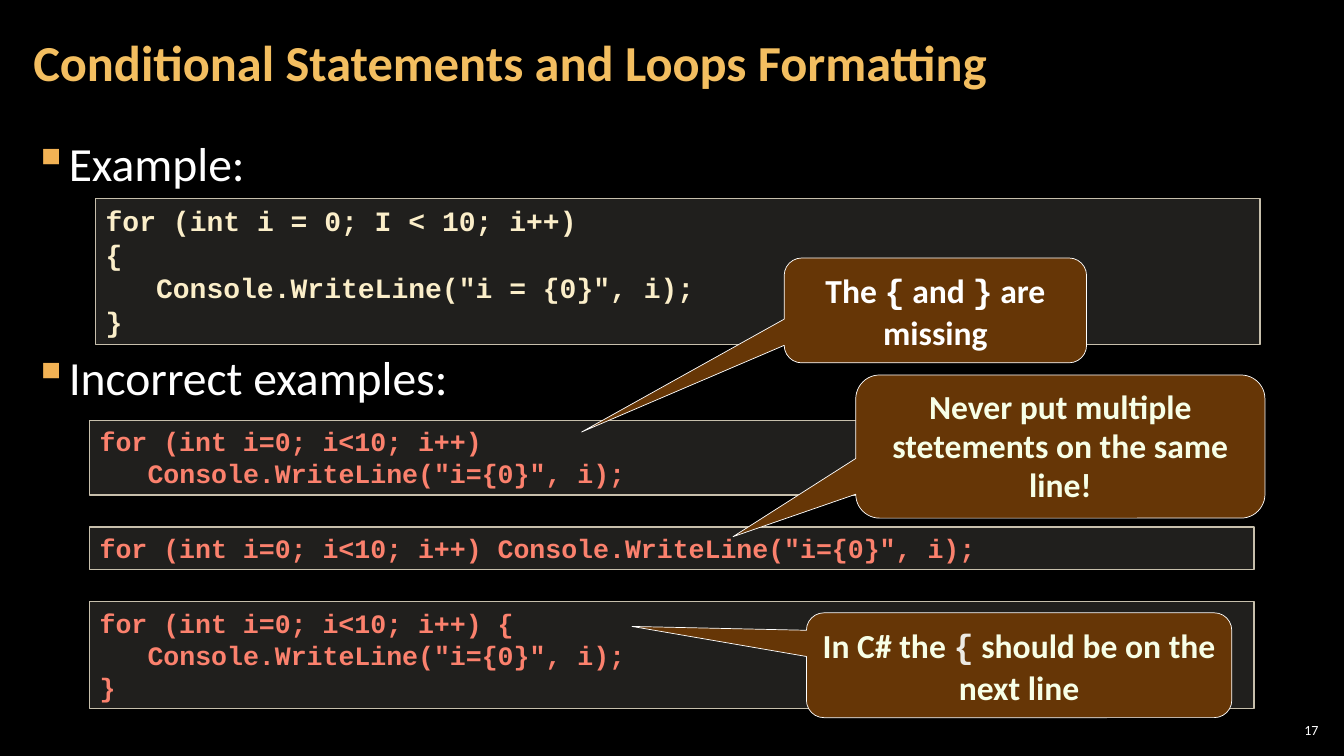
from dataclasses import dataclass

from lxml import etree
from pptx import Presentation
from pptx import util as u
from pptx.dml.color import RGBColor
from pptx.enum import shapes, text
from pptx.oxml import ns

COLS, ROWS = 160, 90
CELL = u.Inches(13.33333) // COLS


@dataclass(frozen=True)
class Theme:
    """Colours, fonts and type sizes."""

    back: str = "000000"
    title: str = "F3BE60"
    body: str = "FFFFFF"
    bullet: str = "F2B254"
    good: str = "FBEEC9"
    bad: str = "FB816D"
    panel: str = "D9D5C7"
    panel_line: str = "C7BFAC"
    callout: str = "663606"
    note: str = "F7FFE7"
    brace: str = "ECEAE3"
    sans: str = "Calibri"
    mono: str = "Courier New"
    title_pt: int = 36
    body_pt: int = 34
    note_pt: int = 24
    good_pt: int = 20
    bad_pt: int = 19
    number_pt: int = 10


THEME = Theme()


def grid(*cells):
    """Turn grid cells into lengths."""
    return [u.Emu(round(c * CELL)) for c in cells]


def rgb(value):
    """Turn a hex string into a colour."""
    return RGBColor.from_string(value)


def add_run(p, words, size, color, font=THEME.sans, bold=True):
    """Add a formatted run to a paragraph."""
    r = p.add_run()
    r.text = words
    r.font.size, r.font.name, r.font.bold = u.Pt(size), font, bold
    r.font.color.rgb = rgb(color)


def next_paragraph(tf, index):
    """Return the paragraph for an index, adding it when needed."""
    return tf.add_paragraph() if index else tf.paragraphs[0]


def add_label(slide, box, anchor, inset=0.12):
    """Add an empty wrapping text box and return its frame."""
    tf = slide.shapes.add_textbox(*grid(*box)).text_frame
    tf.word_wrap, tf.vertical_anchor = True, anchor
    tf.margin_left = tf.margin_right = u.Inches(inset)
    tf.margin_top = tf.margin_bottom = u.Inches(0.04)
    return tf


def add_shape(slide, kind, box, fill, line, width):
    """Add a flat shape with top-anchored text."""
    sp = slide.shapes.add_shape(kind, *grid(*box))
    sp.shadow.inherit = False
    sp.fill.solid()
    sp.fill.fore_color.rgb = rgb(fill)
    sp.line.color.rgb, sp.line.width = rgb(line), u.Pt(width)
    sp.text_frame.word_wrap = True
    sp.text_frame.vertical_anchor = text.MSO_ANCHOR.TOP
    return sp


def add_bullets(slide, box, items):
    """Add square-bulleted lines given as (words, points before)."""
    tf = add_label(slide, box, text.MSO_ANCHOR.TOP)
    for i, (words, before) in enumerate(items):
        p = next_paragraph(tf, i)
        p.line_spacing, p.space_before, p.space_after = 1.05, u.Pt(before), u.Pt(6)
        add_run(p, words, THEME.body_pt, THEME.body, bold=False)
        ppr = p._p.get_or_add_pPr()
        ppr.set("marL", str(u.Inches(0.33)))
        ppr.set("indent", str(-u.Inches(0.33)))
        color = etree.SubElement(ppr, ns.qn("a:buClr"))
        etree.SubElement(color, ns.qn("a:srgbClr"), val=THEME.bullet)
        etree.SubElement(ppr, ns.qn("a:buChar"), char="▪")


def add_code(slide, box, lines, size, color):
    """Add a translucent panel of code lines given as (indent, words)."""
    sp = add_shape(slide, shapes.MSO_SHAPE.RECTANGLE, box, THEME.panel, THEME.panel_line, 1)
    fill = sp._element.spPr.find(ns.qn("a:solidFill"))
    etree.SubElement(fill[0], ns.qn("a:alpha"), val="15000")
    for i, (indent, words) in enumerate(lines):
        p = next_paragraph(sp.text_frame, i)
        p.alignment = text.PP_ALIGN.LEFT
        p._p.get_or_add_pPr().set("marL", str(u.Pt(indent * 0.6 * size)))
        add_run(p, words, size, color, THEME.mono)


def add_callout(slide, box, tip, spacing, parts, color, brace):
    """Add a callout whose lone braces are set in the code font."""
    kind = shapes.MSO_SHAPE.ROUNDED_RECTANGULAR_CALLOUT
    sp = add_shape(slide, kind, box, THEME.callout, THEME.body, 0.5)
    for i, share in enumerate((*tip, 0.167)):
        sp.adjustments[i] = share
    p = sp.text_frame.paragraphs[0]
    p.alignment, p.line_spacing = text.PP_ALIGN.CENTER, u.Pt(spacing)
    for words in parts:
        if words in ("{", "}"):
            add_run(p, words, THEME.note_pt, brace, THEME.mono)
        else:
            add_run(p, words, THEME.note_pt, color)


def main():
    """Build and save the slide."""
    prs = Presentation()
    prs.slide_width, prs.slide_height = grid(COLS, ROWS)
    slide = prs.slides.add_slide(prs.slide_layouts[6])
    slide.background.fill.solid()
    slide.background.fill.fore_color.rgb = rgb(THEME.back)

    p = add_label(slide, (151.8, 85.68, 5.64, 2.52), text.MSO_ANCHOR.MIDDLE, 0.04).paragraphs[0]
    p.alignment = text.PP_ALIGN.RIGHT
    add_run(p, "17", THEME.number_pt, THEME.body, bold=False)
    add_bullets(slide, (2.52, 15.12, 154.92, 73.08), [("Example:", 6), ("Incorrect examples:", 104)])
    p = add_label(slide, (2.52, 0.48, 125.64, 14.52), text.MSO_ANCHOR.MIDDLE).paragraphs[0]
    p.line_spacing = 0.9
    add_run(p, "Conditional Statements and Loops Formatting", THEME.title_pt, THEME.title)

    good = [(0, "for (int i = 0; I < 10; i++)"), (0, "{"),
            (3, 'Console.WriteLine("i = {0}", i);'), (0, "}")]
    add_code(slide, (11.4, 23.64, 138.6, 17.4), good, THEME.good_pt, THEME.good)

    loop, call = "for (int i=0; i<10; i++)", 'Console.WriteLine("i={0}", i);'
    top, row = 50.04, 3.84
    for lines in ([(0, loop), (3, call)],
                  [(0, f"{loop} {call}")],
                  [(0, loop + " {"), (3, call), (0, "}")]):
        height = row * len(lines) + 1.2
        add_code(slide, (10.68, top, 138.6, height), lines, THEME.bad_pt, THEME.bad)
        top += height + row

    add_callout(slide, (93.36, 30.72, 36, 12.48), (-1.17, 1.16), 30,
                ["The ", "{", " and ", "}", " are missing"], THEME.body, THEME.body)
    add_callout(slide, (101.88, 44.64, 48.72, 17.04), (-0.8, 0.63), 28,
                ["Never put multiple stetements on the same line!"], THEME.note, THEME.brace)
    add_callout(slide, (96, 72.96, 50.64, 12.48), (-0.91, -0.37), 30,
                ["In C# the ", "{", " should be on the next line"], THEME.note, THEME.brace)
    prs.save("out.pptx")


if __name__ == "__main__":
    main()
